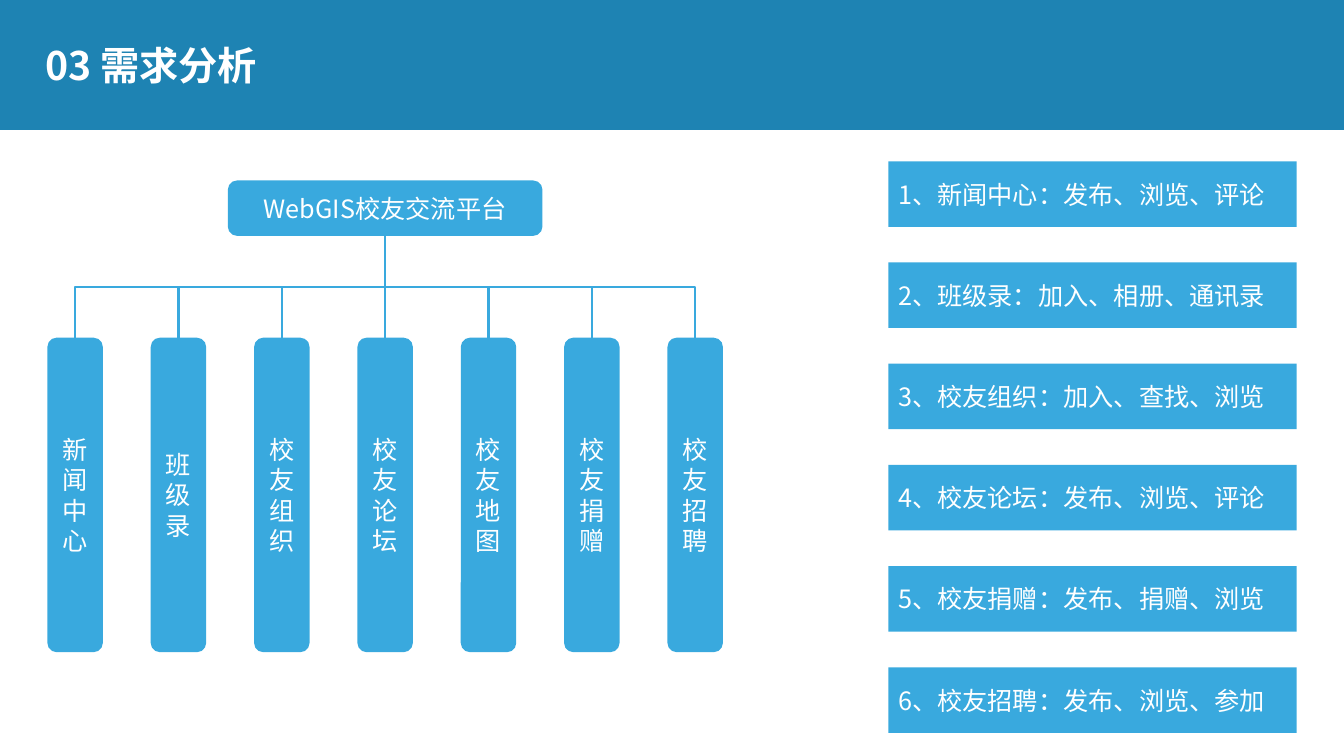
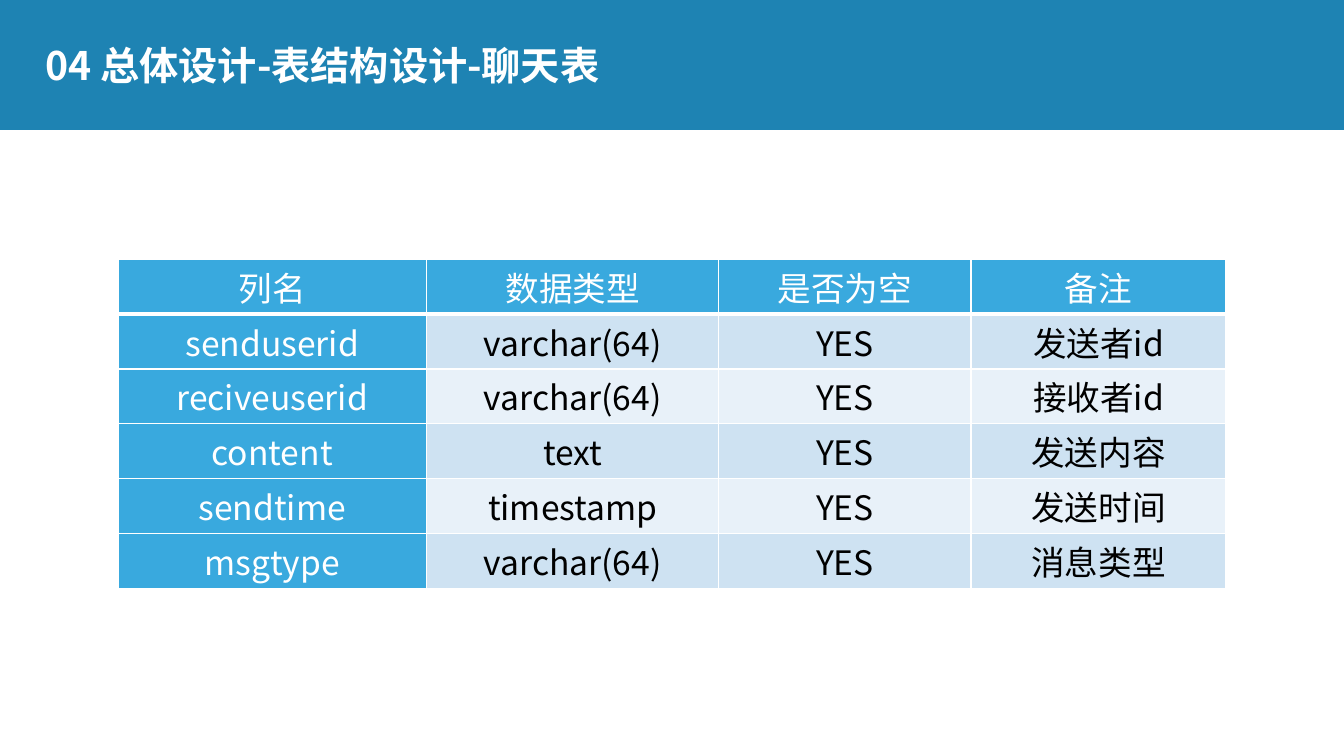
from lxml import etree
from pptx import Presentation
from pptx import util as u
from pptx.dml.color import RGBColor
from pptx.enum import shapes, text
from pptx.oxml.ns import qn

Inches, Pt = u.Inches, u.Pt
FONT = "Noto Sans CJK SC"
DEEP = RGBColor(0x1E, 0x83, 0xB3)
BLUE = RGBColor(0x39, 0xA9, 0xDE)
WHITE = RGBColor(0xFF, 0xFF, 0xFF)
BLACK = RGBColor(0, 0, 0)
STRIPES = [RGBColor(0xCE, 0xE2, 0xF2), RGBColor(0xE8, 0xF1, 0xF9)]
LEFT, CENTER = text.PP_ALIGN.LEFT, text.PP_ALIGN.CENTER
RECT = shapes.MSO_SHAPE.RECTANGLE
ROUND = shapes.MSO_SHAPE.ROUNDED_RECTANGLE

PLATFORM = "WebGIS校友交流平台"
MODULES = ["新闻中心", "班级录", "校友组织", "校友论坛", "校友地图", "校友捐赠", "校友招聘"]
FEATURES = [
    ("新闻中心", "发布、浏览、评论"),
    ("班级录", "加入、相册、通讯录"),
    ("校友组织", "加入、查找、浏览"),
    ("校友论坛", "发布、浏览、评论"),
    ("校友捐赠", "发布、捐赠、浏览"),
    ("校友招聘", "发布、浏览、参加"),
]
COLUMN_WIDTHS = [3.06, 2.9, 2.5, 2.53]
CHAT_TABLE = [
    ("列名", "数据类型", "是否为空", "备注"),
    ("senduserid", "varchar(64)", "YES", "发送者id"),
    ("reciveuserid", "varchar(64)", "YES", "接收者id"),
    ("content", "text", "YES", "发送内容"),
    ("sendtime", "timestamp", "YES", "发送时间"),
    ("msgtype", "varchar(64)", "YES", "消息类型"),
]


def write(tf, words, size, color=WHITE, align=CENTER, bold=False):
    p = tf.paragraphs[0]
    p.alignment = align
    r = p.add_run()
    r.text = words
    r.font.size, r.font.bold, r.font.name = Pt(size), bold, FONT
    r.font.color.rgb = color
    ea = etree.SubElement(r.font._element, qn("a:ea"))
    ea.set("typeface", FONT)
    return p


def add_box(s, kind, x, y, w, h, fill=BLUE):
    sp = s.shapes.add_shape(kind, Inches(x), Inches(y), Inches(w), Inches(h))
    sp.shadow.inherit = False
    sp.fill.solid()
    sp.fill.fore_color.rgb = fill
    sp.line.fill.background()
    return sp


def set_up_layout(prs):
    layout = prs.slide_layouts[5]
    layout.background.fill.solid()
    layout.background.fill.fore_color.rgb = DEEP
    return layout


def add_slide(prs, layout, title):
    s = prs.slides.add_slide(layout)
    if len(prs.slides) == 1:
        panel = add_box(s, RECT, 0, 1.29, 13.33, 6.21, WHITE)
        layout.shapes._spTree.insert(2, panel._element)
    sp = s.shapes.title
    sp.left, sp.top, sp.width, sp.height = (Inches(v) for v in (0.35, 0.28, 6.4, 0.79))
    tf = sp.text_frame
    tf.word_wrap = True
    tf.auto_size = text.MSO_AUTO_SIZE.NONE
    tf.vertical_anchor = text.MSO_ANCHOR.MIDDLE
    write(tf, title, 28, align=LEFT, bold=True).line_spacing = 0.9
    return s


def join(s, parent, child):
    dx = child.left + child.width // 2 - parent.left - parent.width // 2
    straight = abs(dx) < Inches(0.01)
    kind = shapes.MSO_CONNECTOR.STRAIGHT if straight else shapes.MSO_CONNECTOR.ELBOW
    c = s.shapes.add_connector(kind, 0, 0, 0, 0)
    c.begin_connect(parent, 2)
    c.end_connect(child, 0)
    c.line.color.rgb = BLUE
    c.line.width = Pt(1.75)
    etree.SubElement(c._element.spPr, qn("a:effectLst"))
    if straight:
        return
    drop, span = c.height, c.width
    mid_x, mid_y = c.left + span // 2, c.top + drop // 2
    c.left, c.top = mid_x - drop // 2, mid_y - span // 2
    c.width, c.height = drop, span
    xfrm = c._element.spPr.find(qn("a:xfrm"))
    xfrm.set("rot", "5400000" if dx < 0 else "16200000")
    xfrm.set("flipH", "0" if dx < 0 else "1")


def add_module_tree(s):
    root = add_box(s, ROUND, 2.26, 1.79, 3.12, 0.55)
    write(root.text_frame, PLATFORM, 18)
    for i, name in enumerate(MODULES):
        module = add_box(s, ROUND, 0.47 + i * 1.025, 3.35, 0.55, 3.12)
        module.text_frame.word_wrap = True
        write(module.text_frame, name, 18)
        join(s, root, module)


def add_features(s):
    step = (6.62 - 1.6) / (len(FEATURES) - 1)
    for i, (name, actions) in enumerate(FEATURES):
        sp = add_box(s, RECT, 8.81, 1.6 + i * step, 4.05, 0.65)
        write(sp.text_frame, f"{i + 1}、{name}：{actions}", 18, align=LEFT)


def set_borders(cell, row):
    tc_pr = cell._tc.get_or_add_tcPr()
    for side in "LRTB":
        thick = (row, side) in ((0, "B"), (1, "T"))
        ln = etree.SubElement(tc_pr, qn(f"a:ln{side}"), w=str(Pt(3 if thick else 1)))
        fill = etree.SubElement(ln, qn("a:solidFill"))
        etree.SubElement(fill, qn("a:srgbClr"), val=str(WHITE))


def add_chat_table(s):
    frame = s.shapes.add_table(len(CHAT_TABLE), len(COLUMN_WIDTHS), Inches(1.17),
                               Inches(2.57), Inches(sum(COLUMN_WIDTHS)), Inches(3.27))
    table = frame.table
    for column, width in zip(table.columns, COLUMN_WIDTHS):
        column.width = Inches(width)
    for i, values in enumerate(CHAT_TABLE):
        for j, value in enumerate(values):
            heading = i == 0 or j == 0
            cell = table.cell(i, j)
            cell.margin_left = cell.margin_right = Inches(0.07)
            cell.margin_top = cell.margin_bottom = 0
            cell.vertical_anchor = text.MSO_ANCHOR.MIDDLE
            set_borders(cell, i)
            cell.fill.solid()
            cell.fill.fore_color.rgb = BLUE if heading else STRIPES[(i - 1) % 2]
            write(cell.text_frame, value, 24, WHITE if heading else BLACK)


def main():
    prs = Presentation()
    prs.slide_width, prs.slide_height = Inches(13.33), Inches(7.5)
    layout = set_up_layout(prs)
    s = add_slide(prs, layout, "03 需求分析")
    add_module_tree(s)
    add_features(s)
    s = add_slide(prs, layout, "04 总体设计-表结构设计-聊天表")
    add_chat_table(s)
    prs.save("out.pptx")


if __name__ == "__main__":
    main()
